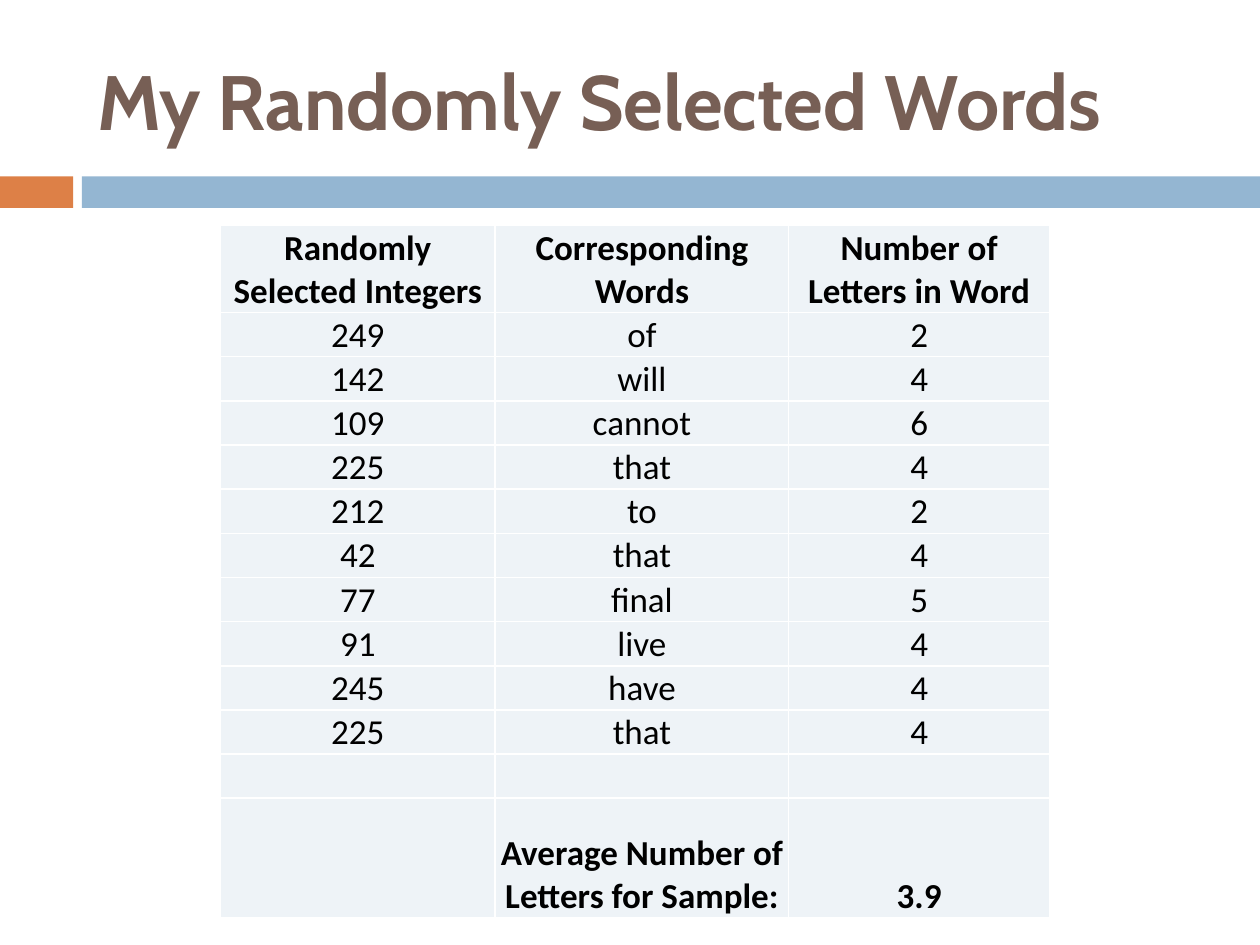
from lxml import etree
from pptx import Presentation, util as u
from pptx.dml.color import RGBColor
from pptx.enum import shapes, text
from pptx.oxml.ns import qn

COLORS = {"accent": "DD8047", "band": "94B6D2", "title": "775F55",
          "cell": "EEF3F7", "border": "FFFFFF", "ink": "000000"}
FORMATS = {
    "title": {"name": "Cabin", "size": u.Pt(44), "bold": True},
    "strong": {"name": "Calibri", "size": u.Pt(20), "bold": True},
    "plain": {"name": "Calibri", "size": u.Pt(20), "bold": False},
}
CELL_MARGINS = {"margin_left": u.Inches(0.01), "margin_right": u.Inches(0.01),
                "margin_top": u.Inches(0.01), "margin_bottom": 0}

HEADINGS = ["Randomly Selected Integers", "Corresponding Words",
            "Number of Letters in Word"]
SAMPLE = [(249, "of"), (142, "will"), (109, "cannot"), (225, "that"),
          (212, "to"), (42, "that"), (77, "final"), (91, "live"),
          (245, "have"), (225, "that")]


def apply(target, values):
    for key, value in values.items():
        setattr(target, key, value)


class Deck:
    def __init__(self, width, height):
        self.prs = Presentation()
        self.prs.slide_width, self.prs.slide_height = u.Inches(width), u.Inches(height)
        self.slide = self.prs.slides.add_slide(self.prs.slide_layouts[5])

    def box(self, left, top, width, height):
        across, down = self.prs.slide_width, self.prs.slide_height
        return (round(left * across), round(top * down),
                round(width * across), round(height * down))

    def color(self, name):
        return RGBColor.from_string(COLORS[name])

    def wording(self, paragraph, words, style, ink, align):
        paragraph.alignment = align
        run = paragraph.add_run()
        run.text = words
        apply(run.font, FORMATS[style])
        run.font.color.rgb = self.color(ink)

    def title(self, words, *share):
        heading = self.slide.shapes.title
        apply(heading, dict(zip(("left", "top", "width", "height"), self.box(*share))))
        heading.text_frame.vertical_anchor = text.MSO_ANCHOR.MIDDLE
        self.wording(heading.text_frame.paragraphs[0], words, "title", "title",
                     text.PP_ALIGN.LEFT)

    def bar(self, fill, *share):
        strip = self.slide.shapes.add_shape(shapes.MSO_SHAPE.RECTANGLE, *self.box(*share))
        strip.shadow.inherit = False
        strip.fill.solid()
        strip.fill.fore_color.rgb = self.color(fill)
        strip.line.fill.background()

    def border(self, cell):
        props = cell._tc.get_or_add_tcPr()
        for position, side in enumerate(("lnL", "lnR", "lnT", "lnB")):
            line = etree.Element(qn(f"a:{side}"), w=str(u.Pt(1)))
            solid = etree.SubElement(line, qn("a:solidFill"))
            etree.SubElement(solid, qn("a:srgbClr"), val=COLORS["border"])
            props.insert(position, line)

    def table(self, rows, widths, heights, strong_rows, *share):
        grid = self.slide.shapes.add_table(len(rows), len(widths), *self.box(*share)).table
        for column, width in zip(grid.columns, widths):
            column.width = u.Inches(width)
        for r, (row, height) in enumerate(zip(rows, heights)):
            grid.rows[r].height = u.Inches(height)
            strong = r in strong_rows
            anchor = text.MSO_ANCHOR.BOTTOM if strong else text.MSO_ANCHOR.MIDDLE
            for c, words in enumerate(row):
                cell = grid.cell(r, c)
                apply(cell, {**CELL_MARGINS, "vertical_anchor": anchor})
                cell.fill.solid()
                cell.fill.fore_color.rgb = self.color("cell")
                self.border(cell)
                if words:
                    self.wording(cell.text_frame.paragraphs[0], words,
                                 "strong" if strong else "plain", "ink",
                                 text.PP_ALIGN.CENTER)


def main():
    deck = Deck(10, 7.5)
    bar_top, bar_height = 1.4 / 7.5, 0.25 / 7.5
    deck.bar("accent", 0, bar_top, 0.058, bar_height)
    deck.bar("band", 0.065, bar_top, 0.935, bar_height)
    deck.title("My Randomly Selected Words", 0.067, 0.25 / 7.5, 0.892, 1.08 / 7.5)

    lengths = [len(word) for _, word in SAMPLE]
    average = sum(lengths) / len(lengths)
    rows = [HEADINGS,
            *([str(number), word, str(len(word))] for number, word in SAMPLE),
            ["", "", ""],
            ["", "Average Number of Letters for Sample:", f"{average:.1f}"]]
    heights = [0.68, *[0.35] * (len(rows) - 2), 0.95]
    deck.table(rows, [2.18, 2.33, 2.07], heights, {0, len(rows) - 1},
               0.175, 1.79 / 7.5, 0.658, sum(heights) / 7.5)
    deck.prs.save("out.pptx")


if __name__ == "__main__":
    main()
